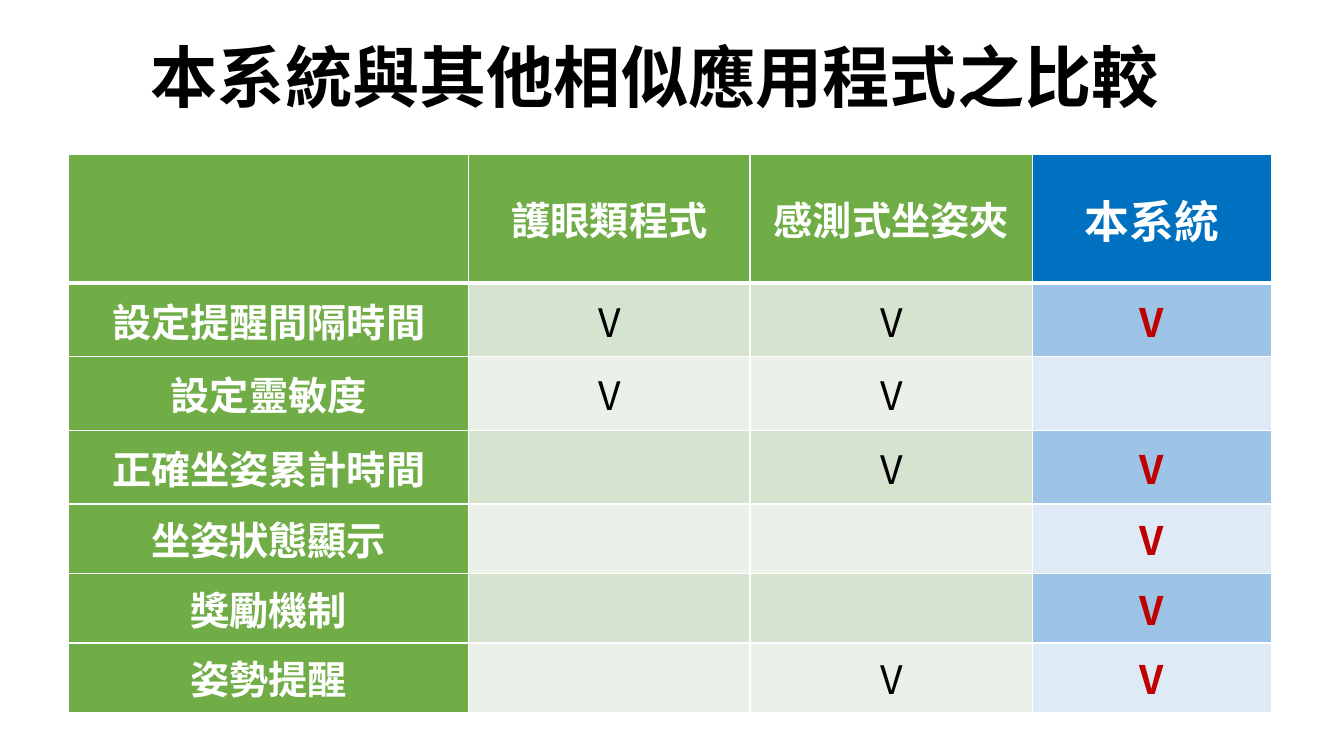
from dataclasses import dataclass

from lxml.etree import SubElement
from pptx import Presentation
from pptx.dml.color import RGBColor as Rgb
from pptx.enum.text import MSO_ANCHOR as Anchor, PP_ALIGN as Align
from pptx.oxml.ns import qn
from pptx.slide import Slide
from pptx.table import _Cell as Cell
from pptx.text.text import TextFrame
from pptx.util import Pt

PX = 9144
FONT = "Noto Sans CJK SC"
HUES = {
    "black": "000000", "white": "FFFFFF", "red": "C00000",
    "green": "70AD47", "blue": "0070C0",
    "sage": "D5E3CF", "mist": "EBF1E9",
    "sky": "9DC3E6", "ice": "DEEBF7",
}
TITLE = "本系統與其他相似應用程式之比較"
APPS = ["護眼類程式", "感測式坐姿夾", "本系統"]
WIDTHS = [397, 279, 280, 237]
HEAD = 128


@dataclass
class Feature:
    name: str
    marks: tuple[bool, bool, bool]
    height: int


FEATURES = [
    Feature("設定提醒間隔時間", (True, True, True), 73),
    Feature("設定靈敏度", (True, True, False), 73),
    Feature("正確坐姿累計時間", (False, True, True), 73),
    Feature("坐姿狀態顯示", (False, False, True), 69),
    Feature("獎勵機制", (False, False, True), 69),
    Feature("姿勢提醒", (False, True, True), 69),
]


def write(frame: TextFrame, text: str, *, size: int = 28,
          hue: str = "white", bold: bool = True, lead: float = 1.0) -> None:
    para = frame.paragraphs[0]
    para.alignment = Align.CENTER
    para.line_spacing = lead
    run = para.add_run()
    run.text = text
    font = run.font
    font.size = Pt(size)
    font.bold = bold
    font.color.rgb = Rgb.from_string(HUES[hue])
    font.name = FONT
    SubElement(font._element, qn("a:ea"), typeface=FONT)


def border(cell: Cell, top: int, bottom: int) -> None:
    props = cell._tc.get_or_add_tcPr()
    for side, width in (("L", 1), ("R", 1), ("T", top), ("B", bottom)):
        line = SubElement(props, qn(f"a:ln{side}"), w=str(Pt(width)))
        fill = SubElement(line, qn("a:solidFill"))
        SubElement(fill, qn("a:srgbClr"), val=HUES["white"])


def style(cell: Cell, fill: str, row: int) -> None:
    border(cell, 3 if row == 1 else 1, 3 if row == 0 else 1)
    cell.fill.solid()
    cell.fill.fore_color.rgb = Rgb.from_string(HUES[fill])
    cell.vertical_anchor = Anchor.MIDDLE
    cell.margin_left = cell.margin_right = 7 * PX
    cell.margin_top = cell.margin_bottom = 0


def add_title(slide: Slide) -> None:
    title = slide.shapes.title
    title.left, title.top = 68 * PX, 8 * PX
    title.width, title.height = 1163 * PX, 145 * PX
    title.text_frame.vertical_anchor = Anchor.MIDDLE
    write(title.text_frame, TITLE, size=48, hue="black", lead=0.9)


def add_grid(slide: Slide) -> None:
    heights = [HEAD] + [item.height for item in FEATURES]
    grid = slide.shapes.add_table(
        len(heights), len(WIDTHS), 68 * PX, 153 * PX,
        sum(WIDTHS) * PX, sum(heights) * PX).table
    grid.horz_banding = False
    for col, width in zip(grid.columns, WIDTHS):
        col.width = width * PX
    for row, height in zip(grid.rows, heights):
        row.height = height * PX

    last = len(APPS)
    style(grid.cell(0, 0), "green", 0)
    for col, app in enumerate(APPS, 1):
        cell = grid.cell(0, col)
        own = col == last
        style(cell, "blue" if own else "green", 0)
        write(cell.text_frame, app, size=32 if own else 28)

    for row, item in enumerate(FEATURES, 1):
        label = grid.cell(row, 0)
        style(label, "green", row)
        write(label.text_frame, item.name)
        plain, accent = ("sage", "sky") if row % 2 else ("mist", "ice")
        for col, mark in enumerate(item.marks, 1):
            cell = grid.cell(row, col)
            own = col == last
            style(cell, accent if own else plain, row)
            if mark:
                write(cell.text_frame, "V",
                      hue="red" if own else "black", bold=own)


def main() -> None:
    deck = Presentation()
    deck.slide_width, deck.slide_height = 1333 * PX, 750 * PX
    slide = deck.slides.add_slide(deck.slide_layouts[5])
    add_title(slide)
    add_grid(slide)
    deck.save("out.pptx")


if __name__ == "__main__":
    main()
